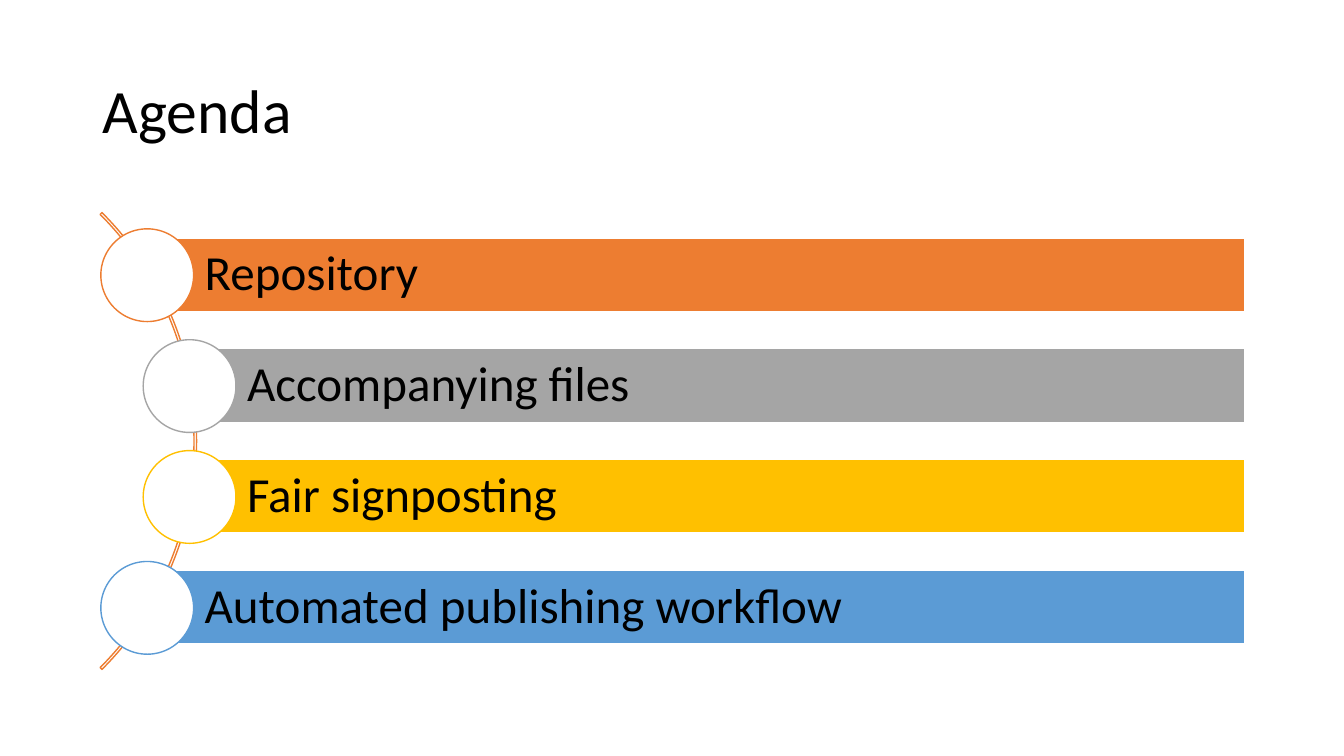
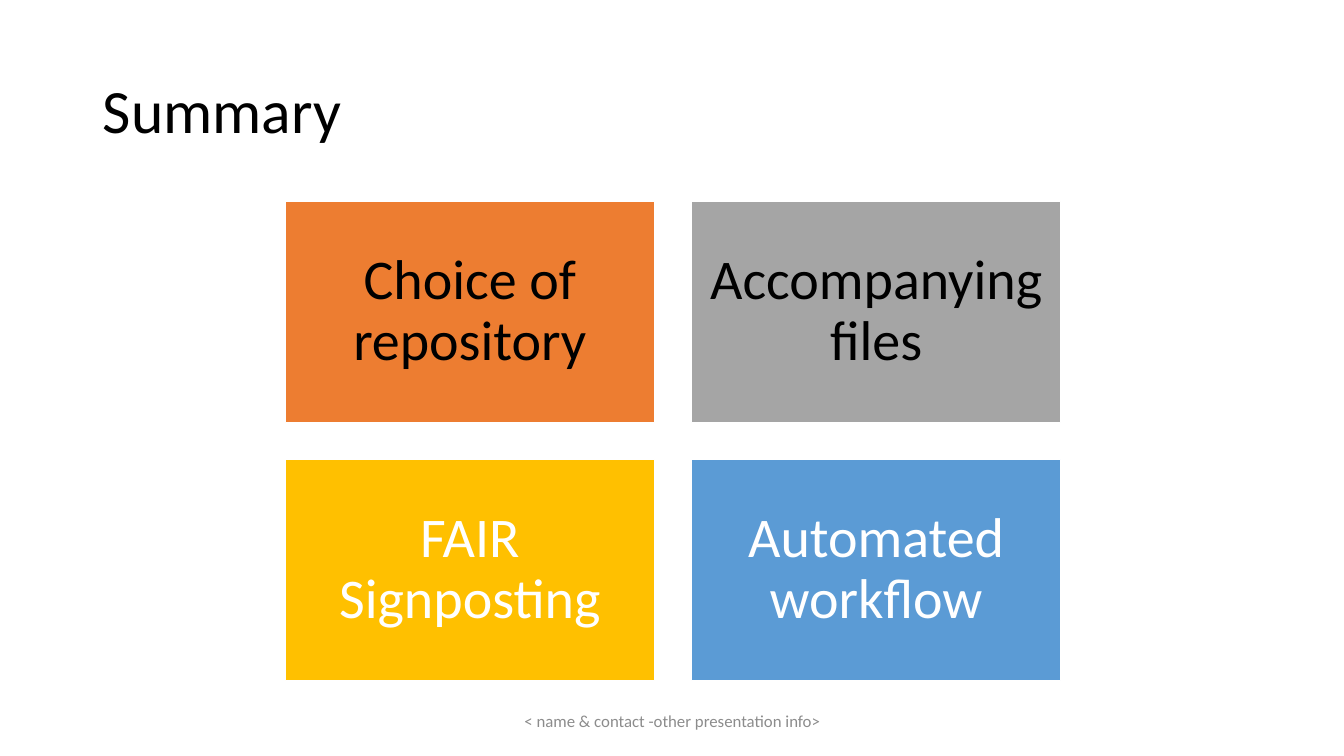
import pptx
import pptx.util
import pptx.dml.color
import pptx.enum.shapes
import pptx.enum.text

RGBColor = pptx.dml.color.RGBColor
MSO_SHAPE = pptx.enum.shapes.MSO_SHAPE
PP_ALIGN = pptx.enum.text.PP_ALIGN

PX = 9144  # EMU in one px, 100 px to the inch
FONT = "Calibri"
BLACK = RGBColor(0x00, 0x00, 0x00)
WHITE = RGBColor(0xFF, 0xFF, 0xFF)
FOOTER_GREY = RGBColor(0x8C, 0x8C, 0x8C)
ORANGE = RGBColor(0xED, 0x7D, 0x31)
GREY = RGBColor(0xA5, 0xA5, 0xA5)
GOLD = RGBColor(0xFF, 0xC0, 0x00)
BLUE = RGBColor(0x5B, 0x9B, 0xD5)
TOPIC_COLORS = [ORANGE, GREY, GOLD, BLUE]


def add_shape(slide, kind, left, top, width, height, fill, line):
    shape = slide.shapes.add_shape(kind, left * PX, top * PX, width * PX, height * PX)
    shape.shadow.inherit = False
    if fill is None:
        shape.fill.background()
    else:
        shape.fill.solid()
        shape.fill.fore_color.rgb = fill
    shape.line.color.rgb = line
    shape.line.width = pptx.util.Pt(1)
    return shape


def write_text(shape, text, size, color, align, insets, line_spacing=0.9):
    frame = shape.text_frame
    frame.word_wrap = True
    frame.auto_size = pptx.enum.text.MSO_AUTO_SIZE.NONE
    frame.vertical_anchor = pptx.enum.text.MSO_ANCHOR.MIDDLE
    frame.margin_left, frame.margin_top, frame.margin_right, frame.margin_bottom = (
        inset * PX for inset in insets)
    paragraph = frame.paragraphs[0]
    paragraph.text = text
    paragraph.alignment = align
    paragraph.line_spacing = line_spacing
    paragraph.font.name = FONT
    paragraph.font.size = pptx.util.Pt(size)
    paragraph.font.color.rgb = color


presentation = pptx.Presentation()
presentation.slide_width = 1333 * PX
presentation.slide_height = 750 * PX

# Slides with their titles
slides = []
for heading in ["Agenda", "Summary"]:
    slide = presentation.slides.add_slide(presentation.slide_layouts[5])
    title = slide.shapes.title
    title.left, title.top, title.width, title.height = 92 * PX, 40 * PX, 1150 * PX, 145 * PX
    write_text(title, heading, 44, BLACK, PP_ALIGN.LEFT, (10, 5, 10, 5))
    slides.append(slide)
agenda, summary = slides

# Agenda: arc behind the bars
arc = add_shape(agenda, MSO_SHAPE.BLOCK_ARC, -446, 117, 641, 641, None, ORANGE)
for index, value in enumerate([189, 27, 0.004]):
    arc.adjustments[index] = value

# Agenda: one bar and circle for each topic
BAR_RIGHT, BAR_TOP, BAR_HEIGHT, BAR_STEP = 1235, 236, 73, 110
CIRCLE_SIZE = 92
agenda_topics = [
    ("Repository", 145),
    ("Accompanying files", 187),
    ("Fair signposting", 187),
    ("Automated publishing workflow", 145),
]
for index, ((topic, left), color) in enumerate(zip(agenda_topics, TOPIC_COLORS)):
    top = BAR_TOP + index * BAR_STEP
    bar = add_shape(agenda, MSO_SHAPE.RECTANGLE, left, top, BAR_RIGHT - left, BAR_HEIGHT,
                    color, WHITE)
    write_text(bar, topic, 35, BLACK, PP_ALIGN.LEFT, (58, 10, 10, 10))
    add_shape(agenda, MSO_SHAPE.OVAL, left - 45, top - 9, CIRCLE_SIZE, CIRCLE_SIZE,
              WHITE, color)

# Summary: two by two grid of cards
CARD_LEFT, CARD_TOP, CARD_WIDTH, CARD_HEIGHT, CARD_GAP = 283, 200, 366, 219, 37
summary_topics = [
    ("Choice of repository", BLACK),
    ("Accompanying files", BLACK),
    ("FAIR Signposting", WHITE),
    ("Automated workflow", WHITE),
]
for index, ((topic, text_color), color) in enumerate(zip(summary_topics, TOPIC_COLORS)):
    row, column = divmod(index, 2)
    card = add_shape(summary, MSO_SHAPE.RECTANGLE,
                     CARD_LEFT + column * (CARD_WIDTH + CARD_GAP),
                     CARD_TOP + row * (CARD_HEIGHT + CARD_GAP),
                     CARD_WIDTH, CARD_HEIGHT, color, WHITE)
    write_text(card, topic, 40, text_color, PP_ALIGN.CENTER, (17, 17, 17, 17))

# Summary: footer
footer = summary.shapes.add_textbox(442 * PX, 695 * PX, 450 * PX, 40 * PX)
write_text(footer, "< name & contact -other presentation info>", 12, FOOTER_GREY,
           PP_ALIGN.CENTER, (10, 5, 10, 5), line_spacing=1.0)

presentation.save("out.pptx")
